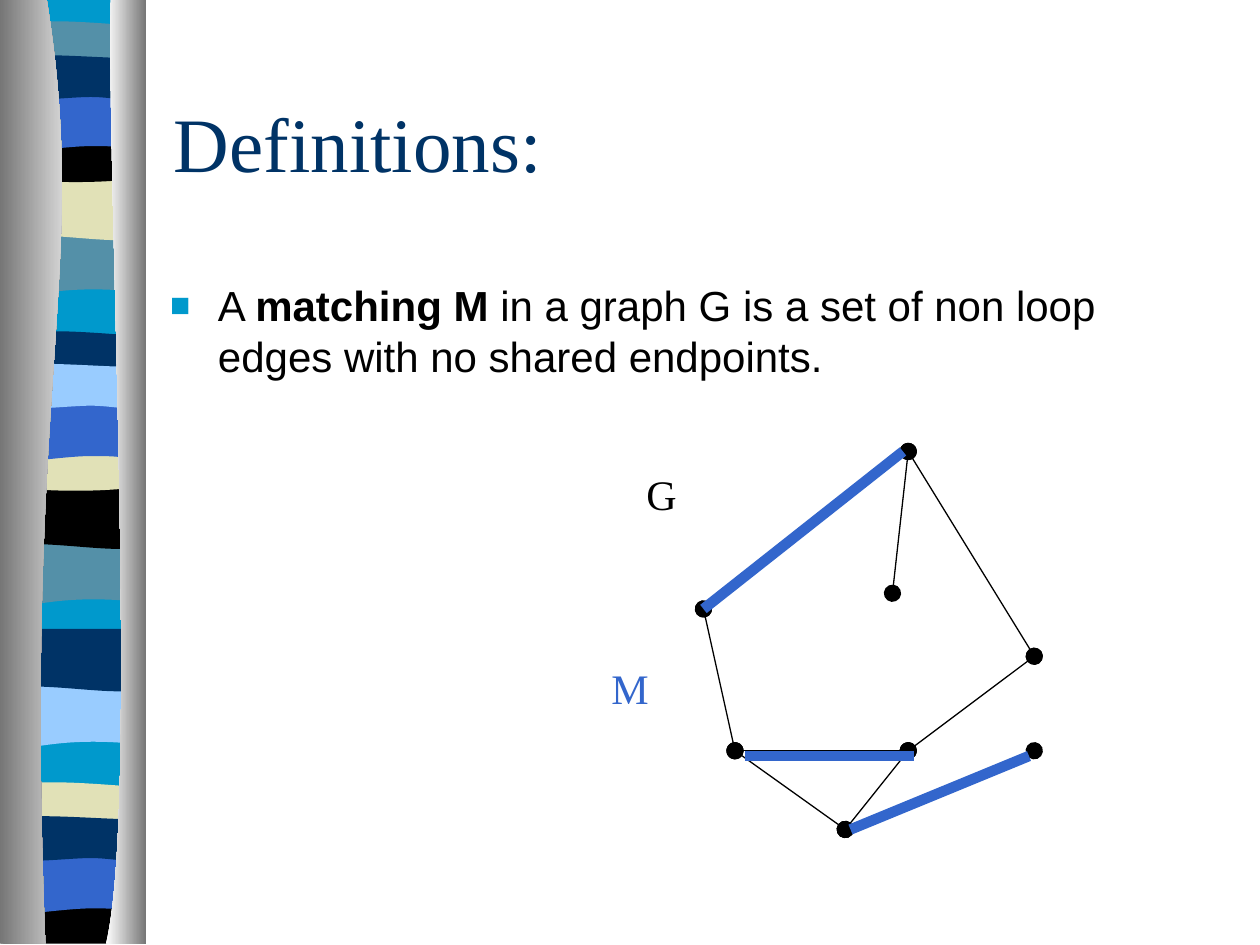
import pptx
import pptx.util
import pptx.dml.color
import pptx.enum.shapes
import pptx.enum.text
from lxml import etree

RGBColor = pptx.dml.color.RGBColor
ALIGN = pptx.enum.text.PP_ALIGN
ANCHOR = pptx.enum.text.MSO_ANCHOR
qn = pptx.oxml.ns.qn

CYAN = RGBColor(0x00, 0x99, 0xCC)
TEAL = RGBColor(0x54, 0x90, 0xA8)
SAND = RGBColor(0xE1, 0xE1, 0xB7)
BLACK = RGBColor(0x00, 0x00, 0x00)
BLUE = RGBColor(0x33, 0x66, 0xCC)
NAVY = RGBColor(0x00, 0x33, 0x66)
SKY = RGBColor(0x99, 0xCC, 0xFF)
GRAY = RGBColor(0x76, 0x76, 0x76)
WHITE = RGBColor(0xFF, 0xFF, 0xFF)
SERIF, SANS = "Times New Roman", "Arial"

TITLE = "Definitions:"
DEFINITION = [
    ("A ", False),
    ("matching M", True),
    (" in a graph G is a set of non loop edges with no shared endpoints.", False),
]

GRID = 1 / 24
VERTICES = {
    "top": (173, 86), "left": (134, 116), "inner": (170, 113),
    "right": (197, 125), "west": (140, 143), "east": (173, 143),
    "bottom": (161, 158), "leaf": (197, 143),
}
EDGES = [
    ("left", "top"), ("top", "right"), ("right", "east"),
    ("east", "bottom"), ("east", "west"), ("leaf", "bottom"),
    ("bottom", "west"), ("west", "left"), ("top", "inner"),
]
MATCHING = [
    ((134, 116), (172, 86)),
    ((162, 158), (196, 144)),
    ((142, 144), (174, 144)),
]
GRAPH_LABEL = ("G", BLACK, (116, 88, 20, 12), True)
MATCHING_LABEL = ("M", BLUE, (114, 125, 12, 12), False)

RIBBON_LEFT, RIBBON_TOP, W = 0.06, -0.01, 1.08
RIBBON = [[(W, 0)], [(W, 7.48)], [(0, 7.48)], [(0, 0)]]
BAND_OUTLINES = {
    "swell": [[(W, 0)], [(W, 0.47)], [(0.33, 0.39), (0.18, 0.55), (0, 0.47)], [(0, 0)]],
    "wave": [[(W, 0)], [(W, 0.47)], [(0.9, 0.55), (0.33, 0.42), (0, 0.47)], [(0, 0)]],
    "slim": [[(W, 0.05)], [(W, 0.29)], [(0.9, 0.33), (0.18, 0.33), (0, 0.29)],
             [(0, 0.05)], [(0.06, 0), (0.23, 0.01), (0.41, 0.01)],
             [(0.59, 0.01), (0.94, 0.04), (W, 0.05)]],
    "sag": [[(W, 0)], [(W, 0.32)], [(0.9, 0.38), (0.18, 0.38), (0, 0.32)],
            [(0, 0)], [(0.66, 0.05), (0.85, 0), (W, 0)]],
    "foot": [[(W, 0)], [(W, 0.37)], [(0, 0.37)], [(0, 0)],
             [(0.66, 0.05), (0.85, 0), (W, 0)]],
    "arch": [[(W, 0)], [(W, 0.47)], [(0.91, 0.42), (0.84, 0.42), (0.66, 0.42)],
             [(0.48, 0.42), (0.16, 0.47), (0, 0.47)], [(0, 0)]],
    "ripple": [[(W, 0.05)], [(W, 0.36)], [(1.01, 0.41), (0.84, 0.36), (0.66, 0.36)],
               [(0.48, 0.36), (0.11, 0.41), (0, 0.36)], [(0, 0.05)],
               [(0.15, 0), (0.73, 0.05), (0.91, 0.05)],
               [(1.09, 0.05), (1.04, 0.05), (W, 0.05)]],
}
BANDS = [
    ("swell", 1.85, TEAL), ("wave", 1.41, SAND), ("slim", 0.16, TEAL),
    ("sag", 1.08, BLACK), ("arch", 0.74, BLUE), ("ripple", 0.41, NAVY),
    ("swell", 4.31, TEAL), ("wave", 3.86, BLACK), ("slim", 2.62, NAVY),
    ("sag", 3.53, SAND), ("arch", 3.2, BLUE), ("ripple", 2.86, SKY),
    ("swell", 5.44, SKY), ("wave", 4.99, NAVY), ("slim", 6.2, SAND),
    ("foot", 7.12, BLACK), ("arch", 6.79, BLUE), ("ripple", 6.45, NAVY),
]
CURTAINS = [
    ([[(0.37, 0)], [(0.72, 2.17), (0.18, 2.97), (0.36, 7.5)], [(0, 7.5)], [(0, 0)]],
     (GRAY, WHITE)),
    ([[(0.88, 0)], [(0.84, 1.26), (1.11, 6.47), (0.84, 7.5)], [(1.16, 7.5)], [(1.16, 0)]],
     (WHITE, GRAY)),
]


def inches(values):
    return [pptx.util.Inches(value) for value in values]


def grid(values):
    return inches(value * GRID for value in values)


def bend(piece, outline):
    strokes = list(piece._element.iter(qn("a:lnTo")))
    position = 0
    for segment in outline[1:]:
        if len(segment) == 3:
            first, *others = strokes[position:position + 3]
            first.tag = qn("a:cubicBezTo")
            for stroke in others:
                first.append(stroke[0])
                stroke.getparent().remove(stroke)
        position += len(segment)


def add_outline(shapes, outline, left, top, colors):
    points = [inches((left + x, top + y)) for segment in outline for x, y in segment]
    builder = shapes.build_freeform(*points[0], scale=1.0)
    builder.add_line_segments(points[1:], close=True)
    piece = builder.convert_to_shape()
    bend(piece, outline)
    piece.shadow.inherit = False
    piece.line.fill.background()
    if len(colors) == 1:
        piece.fill.solid()
        piece.fill.fore_color.rgb = colors[0]
    else:
        piece.fill.gradient()
        piece.fill.gradient_angle = 0
        for stop, color in zip(piece.fill.gradient_stops, colors):
            stop.color.rgb = color


def add_line(shapes, start, end, color, width, dotted):
    line = shapes.add_connector(
        pptx.enum.shapes.MSO_CONNECTOR.STRAIGHT, *grid(start), *grid(end))
    line.line.color.rgb = color
    line.line.width = pptx.util.Pt(width)
    if dotted:
        outline = line.line._get_or_add_ln()
        for tag in ("a:headEnd", "a:tailEnd"):
            etree.SubElement(outline, qn(tag), type="oval", w="lg", len="lg")
    etree.SubElement(line._element.spPr, qn("a:effectLst"))


def add_run(paragraph, text, font, size, color, bold=False):
    run = paragraph.add_run()
    run.text = text
    run.font.name = font
    run.font.size = pptx.util.Pt(size)
    run.font.color.rgb = color
    run.font.bold = bold


def add_label(shapes, text, color, box, wraps):
    label = shapes.add_textbox(*grid(box))
    label.text_frame.word_wrap = wraps
    paragraph = label.text_frame.paragraphs[0]
    paragraph.alignment = ALIGN.CENTER
    add_run(paragraph, text, SERIF, 24, color)


def place(holder, box, anchor):
    holder.left, holder.top, holder.width, holder.height = inches(box)
    holder.text_frame.auto_size = pptx.enum.text.MSO_AUTO_SIZE.NONE
    holder.text_frame.vertical_anchor = anchor
    paragraph = holder.text_frame.paragraphs[0]
    paragraph.alignment = ALIGN.LEFT
    paragraph.space_before = pptx.util.Pt(0)
    return paragraph


def add_bullet(paragraph):
    properties = paragraph._p.get_or_add_pPr()
    indent = pptx.util.Inches(0.38)
    properties.set("marL", str(indent))
    properties.set("indent", str(-indent))
    color = etree.SubElement(properties, qn("a:buClr"))
    etree.SubElement(color, qn("a:srgbClr"), val=str(CYAN))
    etree.SubElement(properties, qn("a:buSzPct"), val="80000")
    etree.SubElement(properties, qn("a:buFont"), typeface=SANS)
    etree.SubElement(properties, qn("a:buChar"), char="■")


def main():
    deck = pptx.Presentation()
    deck.slide_width, deck.slide_height = inches((10, 7.5))
    slide = deck.slides.add_slide(deck.slide_layouts[1])

    border = slide.shapes.add_group_shape()
    add_outline(border.shapes, RIBBON, RIBBON_LEFT, RIBBON_TOP, (CYAN,))
    for kind, top, color in BANDS:
        add_outline(border.shapes, BAND_OUTLINES[kind], RIBBON_LEFT, top, (color,))
    for outline, colors in CURTAINS:
        add_outline(border.shapes, outline, 0, RIBBON_TOP, colors)
    deck.slide_master.shapes._spTree.insert(2, border._element)

    heading = place(slide.shapes.title, (1.28, 0.5, 8.5, 1.25), ANCHOR.MIDDLE)
    add_run(heading, TITLE, SERIF, 44, NAVY)
    definition = place(slide.placeholders[1], (1.25, 2.17, 8.53, 1.83), ANCHOR.TOP)
    add_bullet(definition)
    for text, bold in DEFINITION:
        add_run(definition, text, SANS, 24, BLACK, bold)

    graph = slide.shapes.add_group_shape().shapes
    for start, end in EDGES:
        add_line(graph, VERTICES[start], VERTICES[end], BLACK, 0.75, True)
    add_label(graph, *GRAPH_LABEL)

    matching = slide.shapes.add_group_shape().shapes
    for start, end in MATCHING:
        add_line(matching, start, end, BLUE, 6, False)
    add_label(matching, *MATCHING_LABEL)

    deck.save("out.pptx")


if __name__ == "__main__":
    main()
